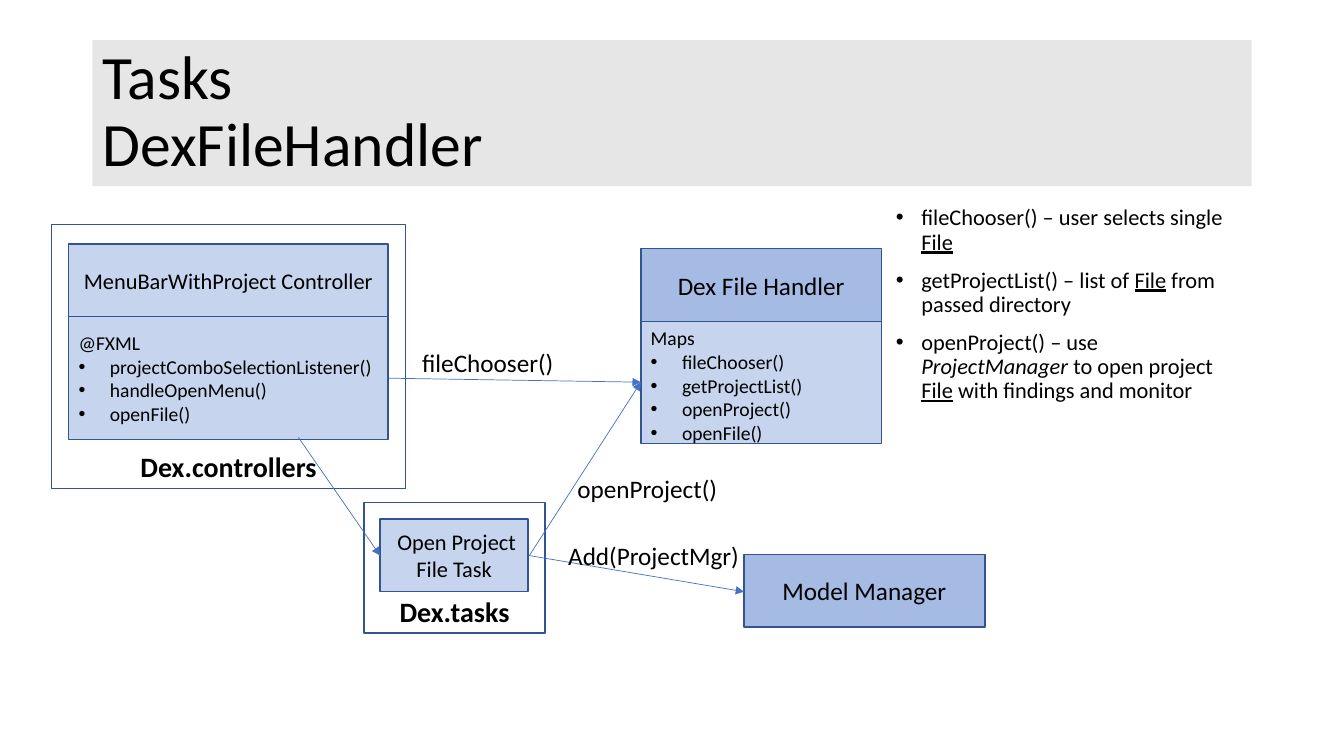
from pptx import Presentation
from pptx.dml.color import RGBColor as Rgb
from pptx.enum.shapes import MSO_CONNECTOR as Link, MSO_SHAPE as Form
from pptx.enum.text import MSO_ANCHOR as Anchor, MSO_AUTO_SIZE as Fit, PP_ALIGN as Align
from pptx.oxml.ns import qn
from pptx.util import Cm, Pt
from lxml.etree import SubElement as Sub

STYLES = {
    "title": {"size": Pt(44)},
    "note": {"size": Pt(16)},
    "head": {"size": Pt(18)},
    "part": {"size": Pt(16)},
    "list": {"size": Pt(14)},
    "pack": {"size": Pt(20), "bold": True},
}
LIGHT, DARK = ("4472C4", 30), ("8FAADC", 80)
EDGE, WIRE, GREY, BLACK = "325491", "4472C4", "E7E6E6", "000000"
UNDER, SLANT = {"underline": True}, {"italic": True}


def paint(color, code):
    color.rgb = Rgb.from_string(code)


def apply(target, values):
    for name, value in values.items():
        setattr(target, name, value)


class Board:
    """Draws styled elements on one title-only slide."""

    def __init__(self, deck):
        self.slide = deck.slides.add_slide(deck.slide_layouts[5])
        self.shapes = self.slide.shapes

    def put(self, frame, lines, style, align=Align.LEFT, anchor=Anchor.TOP, dent=None, skip=0, **form):
        apply(frame, {"word_wrap": True, "auto_size": Fit.NONE, "vertical_anchor": anchor})
        for i, line in enumerate(lines):
            par = frame.paragraphs[0] if i == 0 else frame.add_paragraph()
            if dent and i >= skip:
                props = par._p.get_or_add_pPr()
                props.set("marL", str(Cm(dent)))
                props.set("indent", str(-Cm(dent)))
                Sub(props, qn("a:buFont")).set("typeface", "Arial")
                Sub(props, qn("a:buChar")).set("char", "•")
            apply(par, {"alignment": align, **form})
            if i == 0:
                par.space_before = Pt(0)
            for text, extra in [(line, {})] if isinstance(line, str) else line:
                if text is None:
                    par.add_line_break()
                    continue
                run = par.add_run()
                run.text = text
                apply(run.font, {"name": "Calibri", **STYLES[style], **extra})
                paint(run.font.color, BLACK)

    def title(self, lines, left, top, width, height):
        shape = self.shapes.title
        apply(shape, {"left": Cm(left), "top": Cm(top), "width": Cm(width), "height": Cm(height)})
        shape.fill.solid()
        paint(shape.fill.fore_color, GREY)
        self.put(shape.text_frame, lines, "title", anchor=Anchor.MIDDLE, line_spacing=0.9)

    def text(self, lines, left, top, width, height, style="head", **form):
        box = self.shapes.add_textbox(Cm(left), Cm(top), Cm(width), Cm(height))
        self.put(box.text_frame, lines, style, **form)

    def box(self, lines, left, top, width, height, style, fill=None, align=Align.CENTER,
            anchor=Anchor.MIDDLE, **form):
        shape = self.shapes.add_shape(Form.RECTANGLE, Cm(left), Cm(top), Cm(width), Cm(height))
        shape.shadow.inherit = False
        if fill:
            shape.fill.solid()
            paint(shape.fill.fore_color, fill[0])
            tint = shape._element.spPr.find(".//" + qn("a:srgbClr"))
            Sub(tint, qn("a:alpha")).set("val", str(fill[1] * 1000))
        else:
            shape.fill.background()
        paint(shape.line.color, EDGE)
        shape.line.width = Pt(1)
        self.put(shape.text_frame, lines, style, align, anchor, **form)

    def arrow(self, start, end):
        wire = self.shapes.add_connector(Link.STRAIGHT, *map(Cm, start + end))
        paint(wire.line.color, WIRE)
        wire.line.width = Pt(0.5)
        props = wire._element.spPr
        Sub(props.find(qn("a:ln")), qn("a:tailEnd")).set("type", "triangle")
        Sub(props, qn("a:effectLst"))


def main():
    deck = Presentation()
    apply(deck, {"slide_width": Cm(33.87), "slide_height": Cm(19.05)})
    board = Board(deck)
    board.title([[("Tasks", {}), (None, {}), ("DexFileHandler", {})]], 2.33, 1.01, 29.21, 3.68)
    file = ("File", UNDER)
    board.text([
        [("fileChooser() – user selects single ", {}), file],
        [("getProjectList() – list of ", {}), file, (" from passed directory", {})],
        [("openProject() – use ", {}), ("ProjectManager ", SLANT), ("to open project ", {}),
         file, (" with findings and monitor", {})],
    ], 22.33, 5.08, 9.2, 12.09, "note", dent=0.64, line_spacing=0.9, space_before=Pt(10))

    high = 1.83
    items = {"style": "list", "fill": LIGHT, "align": Align.LEFT, "dent": 0.79, "skip": 1}
    board.box(["MenuBarWithProject Controller"], 1.73, 6.15, 8.05, high, "part", LIGHT)
    board.box(["@FXML", "projectComboSelectionListener()", "handleOpenMenu()", "openFile()"],
              1.73, 6.15 + high, 8.05, 3.1, **items)
    board.box(["Dex.controllers"], 1.3, 5.66, 8.92, 6.65, "pack", anchor=Anchor.BOTTOM)
    board.box([" Open Project File Task"], 9.58, 13.08, 3.73, high, "part", LIGHT)
    board.box(["Dex.tasks"], 9.17, 12.67, 4.57, 3.28, "pack", anchor=Anchor.BOTTOM)
    board.box(["Dex File Handler"], 16.15, 6.27, 6.07, high, "head", DARK)
    board.box(["Maps", "fileChooser()", "getProjectList()", "openProject()", "openFile()"],
              16.15, 6.27 + high, 6.07, 3.07, anchor=Anchor.TOP, **items)
    board.box(["Model Manager"], 18.75, 13.97, 6.07, high, "head", DARK)

    task, maps = (13.34, 14), (16.15, 9.63)
    for start, end in [((9.8, 9.53), maps), ((7.52, 11.02), (9.58, 14)),
                       (task, maps), (task, (18.75, 14.91))]:
        board.arrow(start, end)
    for call, left, top in [("fileChooser()", 10.39, 8.64), ("openProject()", 14.3, 11.79),
                            ("Add(ProjectMgr)", 14.07, 13.49)]:
        board.text([call], left, top, 7.72, 1.02)
    deck.save("out.pptx")


if __name__ == "__main__":
    main()
